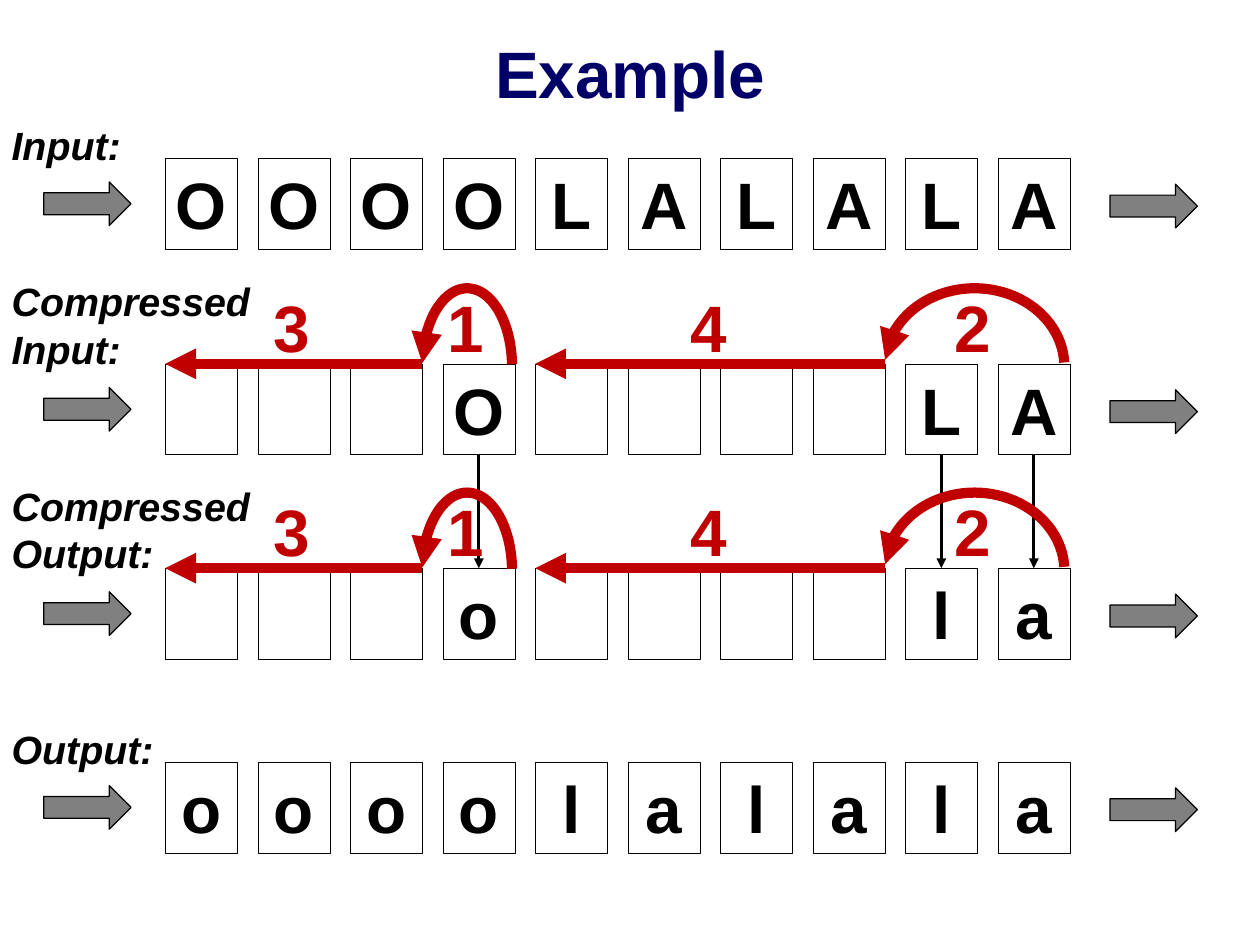
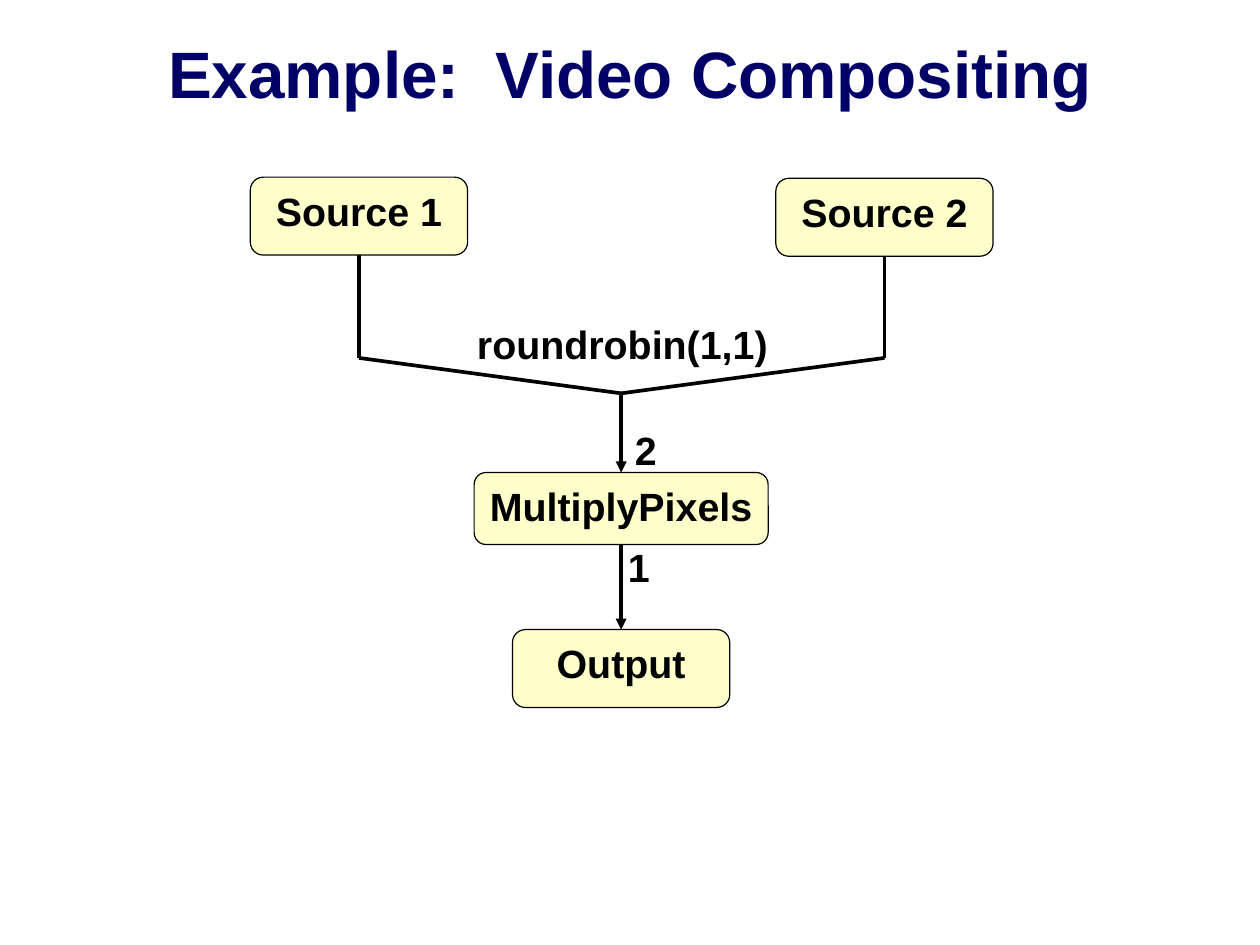
from dataclasses import dataclass
from itertools import groupby

from lxml import etree
from pptx import Presentation
from pptx import util as u
from pptx.dml.color import RGBColor
from pptx.enum import shapes, text
from pptx.oxml.ns import qn


@dataclass(frozen=True)
class Theme:
    font: str = "Arial"
    title: str = "000066"
    ink: str = "000000"
    jump: str = "C00000"
    flow: str = "808080"
    node: str = "FFFFCC"
    big: int = 40
    small: int = 24
    hairline: float = 0.25
    outline: float = 0.75
    literal_line: float = 2
    wire: float = 2.25
    jump_line: float = 6.25


THEME = Theme()
WIDTH, HEIGHT = 10.67, 8
SHAPE = shapes.MSO_SHAPE
CENTER, LEFT = text.PP_ALIGN.CENTER, text.PP_ALIGN.LEFT

# Slide 1 content: label lines, top of the row, symbols (a blank is a skipped cell)
ROWS = [
    (["Input:"], 1.34, "OOOOLALALA"),
    (["Compressed", "Input:"], 3.08, "   O    LA"),
    (["Compressed", "Output:"], 4.81, "   o    la"),
    (["Output:"], 6.45, "oooolalala"),
]
LITERAL_COLUMNS = [3, 8, 9]
CELL_LEFT, CELL_PITCH, CELL_W, CELL_H = 1.4, 0.78, 0.61, 0.77
CELL_SPAN = 7.05  # from the first cell to the last
LABEL_LIFT = {1: 0.36, 2: 0.78}
FLOW_ARROWS = [(0.37, 0.2), (9.4, 0.22)]
ARC_STEP, ARC_H = 0.76, 1.32
ARC_ANGLES = (109.43, 213.55)

# Slide 2 content: text, centre, top, width, height
AXIS, SOURCE_1, SOURCE_2 = 5.26, 3.04, 7.49
JOIN_TOP, JOIN_BOTTOM = 3.03, 3.33
NODES = [
    ("Source 1", SOURCE_1, 1.5, 1.84, 0.66),
    ("Source 2", SOURCE_2, 1.51, 1.84, 0.66),
    ("MultiplyPixels", AXIS, 4, 2.49, 0.61),
    ("Output", AXIS, 5.33, 1.84, 0.66),
]
NOTES = [
    ("roundrobin(1,1)", 5.27, 2.66, 2.69),
    ("2", 5.47, 3.56, 0.39),
    ("1", 5.41, 4.55, 0.39),
]
WIRES = [
    [(SOURCE_1, 2.16), (SOURCE_1, JOIN_TOP), (AXIS, JOIN_BOTTOM)],
    [(SOURCE_2, 2.16), (SOURCE_2, JOIN_TOP), (AXIS, JOIN_BOTTOM)],
]
NODE_ARROWS = [(JOIN_BOTTOM, 4), (4.61, 5.33)]


def inches(*lengths):
    return [u.Inches(length) for length in lengths]


def color(value):
    return RGBColor.from_string(value)


# Shared drawing helpers
def write(shape, lines, size, ink=THEME.ink, align=CENTER, italic=None, wrap=False):
    frame = shape.text_frame
    frame.word_wrap = wrap
    frame.vertical_anchor = text.MSO_ANCHOR.TOP
    frame.text = "\n".join(lines)
    for para in frame.paragraphs:
        para.alignment = align
        font = para.font
        font.name, font.size = THEME.font, u.Pt(size)
        font.bold, font.italic = True, italic
        font.color.rgb = color(ink)


def add_text(page, lines, left, top, width, height, size, **style):
    box = page.shapes.add_textbox(*inches(left, top, width, height))
    write(box, lines, size, **style)


def set_line(shape, ink, weight, arrow=False):
    shape.line.color.rgb = color(ink)
    shape.line.width = u.Pt(weight)
    if arrow:
        line = shape._element.spPr.find(qn("a:ln"))
        etree.SubElement(line, qn("a:tailEnd"), type="triangle")


def add_box(page, kind, left, top, width, height, weight, fill=None, ink=THEME.ink, arrow=False):
    shape = page.shapes.add_shape(kind, *inches(left, top, width, height))
    shape.shadow.inherit = False
    if fill:
        shape.fill.solid()
        shape.fill.fore_color.rgb = color(fill)
    else:
        shape.fill.background()
    set_line(shape, ink, weight, arrow)
    return shape


def add_line(page, start, end, weight, ink=THEME.ink, arrow=True):
    line = page.shapes.add_connector(shapes.MSO_CONNECTOR.STRAIGHT, *inches(*start, *end))
    set_line(line, ink, weight, arrow)
    etree.SubElement(line._element.spPr, qn("a:effectLst"))


def add_page(deck, heading):
    page = deck.slides.add_slide(deck.slide_layouts[5])
    title = page.shapes.title
    title.left, title.top, title.width, title.height = inches(0, -0.05, WIDTH, 1.33)
    write(title, [heading], THEME.big, ink=THEME.title, wrap=True)
    title.text_frame.vertical_anchor = text.MSO_ANCHOR.MIDDLE
    return page


# Slide 1: compression of a repeated string
def column(index):
    return CELL_LEFT + index * CELL_SPAN / 9


def add_row(page, label, top, symbols):
    for index, symbol in enumerate(symbols):
        cell = add_box(page, SHAPE.RECTANGLE, column(index), top, CELL_W, CELL_H, THEME.hairline)
        if symbol.strip():
            write(cell, [symbol], THEME.big)
    for left, drop in FLOW_ARROWS:
        add_box(page, SHAPE.RIGHT_ARROW, left, top + drop, 0.74, 0.37, THEME.outline, THEME.flow)
    add_text(page, label, 0, top - LABEL_LIFT[len(label)], 2.4, 0.09 + 0.41 * len(label),
             THEME.small, align=LEFT, italic=True, wrap=True)


def add_jumps(page, top, symbols):
    first = 0
    for skipped, group in groupby(symbols, key=str.isspace):
        count = len(list(group))
        if skipped:
            left, right = column(first), column(first + count - 1) + CELL_W
            add_line(page, (right, top), (left, top), THEME.jump_line, THEME.jump)
        else:
            left = column(first - 1) + CELL_W
            right = left + count * ARC_STEP
            arc = add_box(page, SHAPE.ARC, left, top - 0.64, right - left, ARC_H,
                          THEME.jump_line, ink=THEME.jump, arrow=True)
            arc.adjustments[0], arc.adjustments[1] = ARC_ANGLES
            arc._element.spPr.find(qn("a:xfrm")).set("flipH", "1")
        add_text(page, [str(count)], (left + right) / 2 - 0.27, top - 0.7, 0.51, 0.77,
                 THEME.big, ink=THEME.jump)
        first += count


def build_compression(deck):
    page = add_page(deck, "Example")
    for row in ROWS:
        add_row(page, *row)
    source_top, target_top = ROWS[1][1], ROWS[2][1]
    for index in LITERAL_COLUMNS:
        middle = column(index) + CELL_W / 2
        add_line(page, (middle, source_top + CELL_H), (middle, target_top), THEME.literal_line)
    for label, top, symbols in ROWS:
        if " " in symbols:
            add_jumps(page, top, symbols)


# Slide 2: stream graph
def build_compositing(deck):
    page = add_page(deck, "Example:  Video Compositing")
    for points in WIRES:
        for start, end in zip(points, points[1:]):
            add_line(page, start, end, THEME.wire, arrow=False)
    for top, bottom in NODE_ARROWS:
        add_line(page, (AXIS, top), (AXIS, bottom), THEME.wire)
    for name, middle, top, width, height in NODES:
        node = add_box(page, SHAPE.ROUNDED_RECTANGLE, middle - width / 2, top, width, height,
                       THEME.outline, THEME.node)
        write(node, [name], THEME.small)
    for note, middle, top, width in NOTES:
        add_text(page, [note], middle - width / 2, top, width, 0.5, THEME.small)


def main():
    deck = Presentation()
    deck.slide_width, deck.slide_height = inches(WIDTH, HEIGHT)
    build_compression(deck)
    build_compositing(deck)
    deck.save("out.pptx")


if __name__ == "__main__":
    main()
